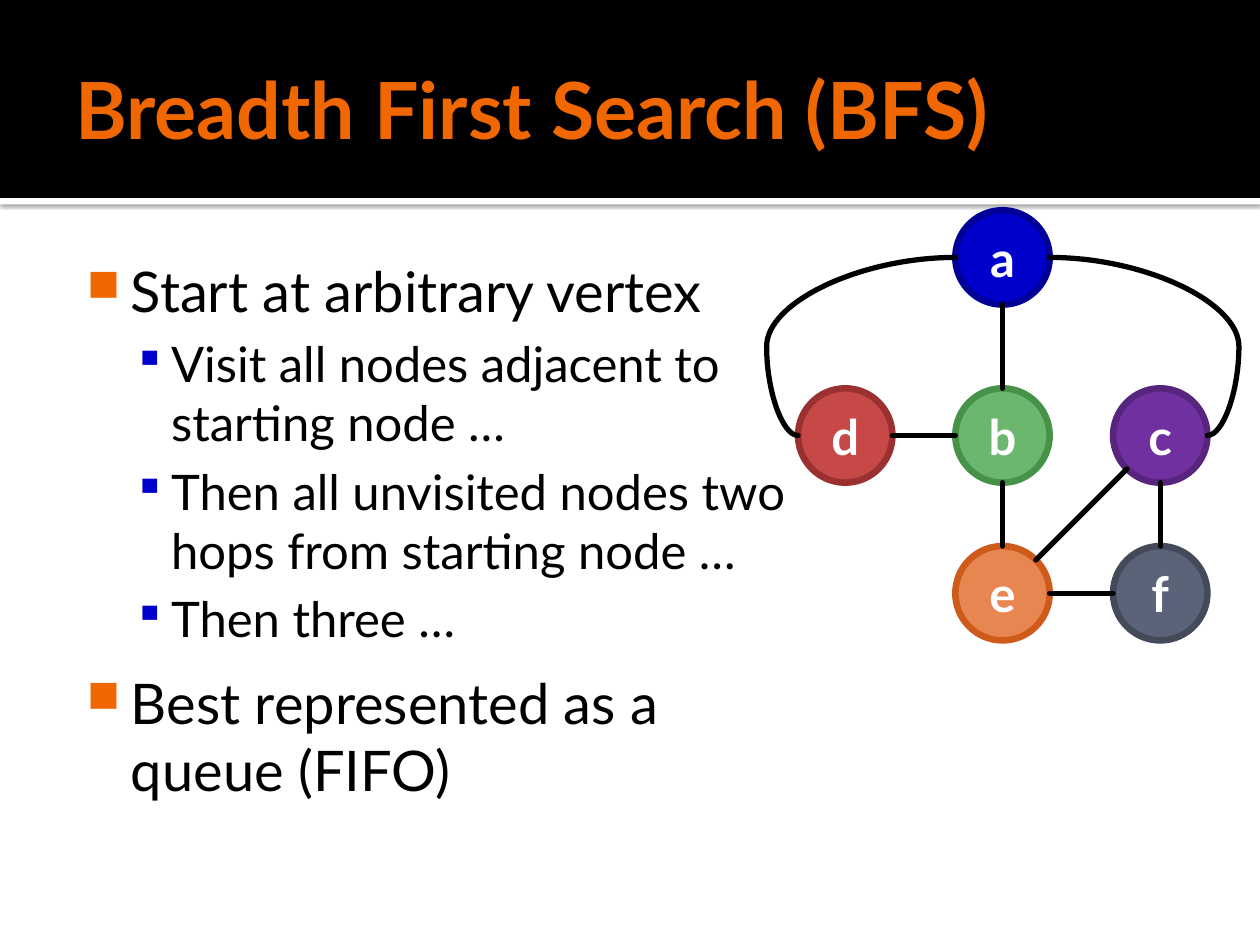
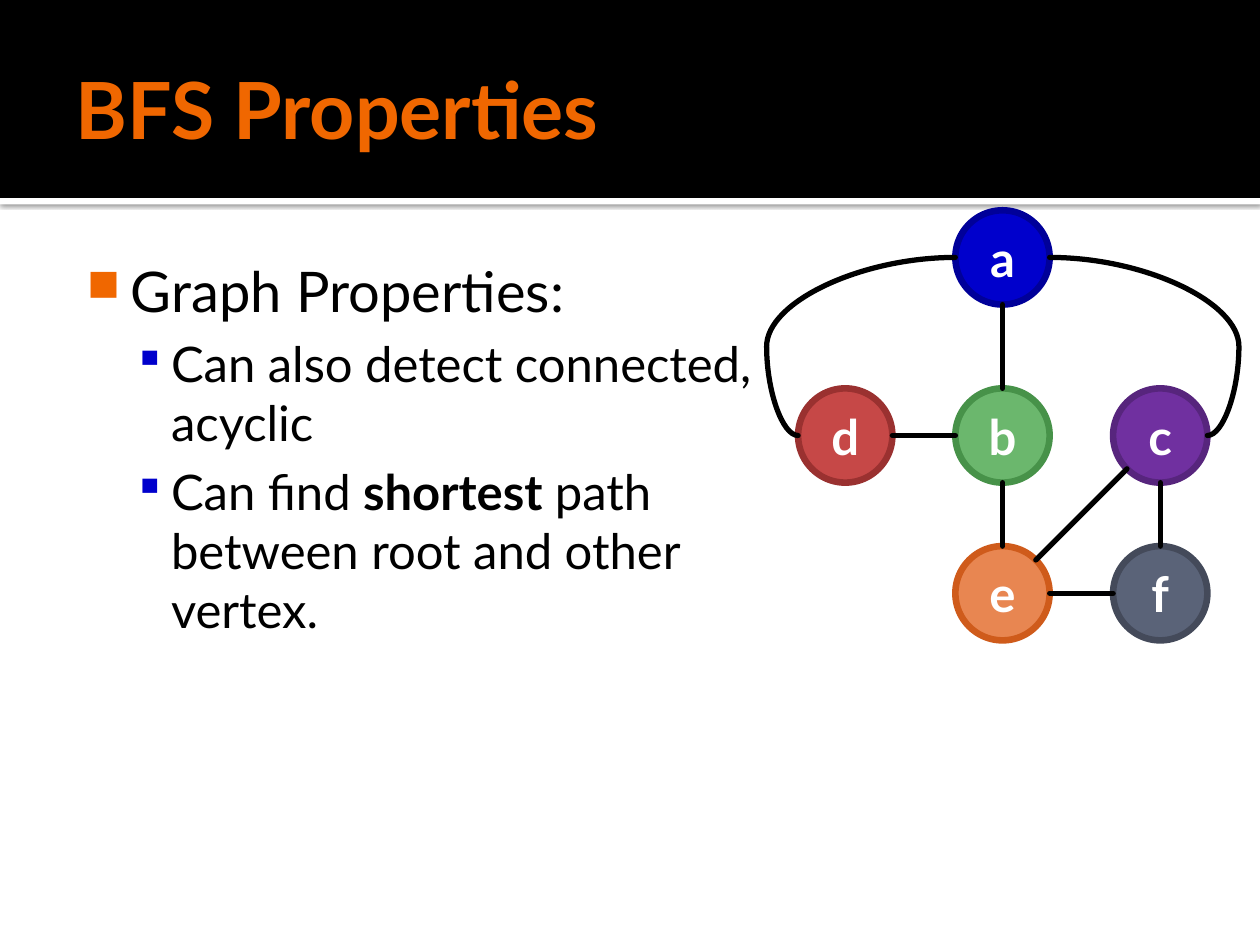
"""Build two slides on breadth first search, each with the same example graph."""
from math import hypot

from lxml.etree import SubElement
from pptx import Presentation
from pptx.dml.color import RGBColor as Rgb
from pptx.enum.shapes import MSO_CONNECTOR as Link, MSO_SHAPE as Shape
from pptx.enum.text import MSO_ANCHOR as Anchor, PP_ALIGN as Align
from pptx.oxml.ns import qn
from pptx.util import Cm, Pt

COLORS = {"title": "F06700", "bullet": "F06700", "sub_bullet": "0000CC",
          "band": "000000", "stripe": "FFFFFF", "text": "000000",
          "edge": "000000", "label": "FFFFFF"}
FONT = "Lato"
LEVELS = [
    {"size": 32, "margin": 1.22, "indent": -0.89, "before": 0,
     "mark": "■", "color": "bullet", "scale": 80},
    {"size": 28, "margin": 2.03, "indent": -0.76, "before": 5.6,
     "mark": "▪", "color": "sub_bullet", "scale": 90},
]
COLUMNS = [17.04, 20.21, 23.39]
ROWS = [5.19, 8.78, 11.96]
RADIUS = 0.95
NODES = {
    "a": (1, 0, "0000CC", "000099"),
    "b": (1, 1, "6BB76D", "479249"),
    "c": (2, 1, "7030A0", "57257D"),
    "d": (0, 1, "C64847", "9A3130"),
    "e": (1, 2, "E88651", "CF5B1B"),
    "f": (2, 2, "5A6378", "444A5A"),
}
STRAIGHT_EDGES = ["ab", "db", "eb", "fe", "cf", "ce"]
CURVED_EDGES = [("a", "c", 1), ("a", "d", -1)]
SLIDES = [
    ("Breadth First Search (BFS)", 14.81, [
        (0, ["Start at arbitrary vertex"], 0),
        (1, ["Visit all nodes adjacent to starting node …"], 0),
        (1, ["Then all unvisited nodes two hops from starting node …"], 0),
        (1, ["Then three …"], 12),
        (0, ["Best represented as a queue (FIFO)"], 0),
    ]),
    ("BFS Properties", 14.4, [
        (0, ["Graph Properties:"], 0),
        (1, ["Can also detect connected, acyclic"], 0),
        (1, ["Can find ", "shortest", " path between root and other vertex."], 0),
    ]),
]


def style_font(font, size, color, bold=False):
    font.name, font.size, font.bold = FONT, Pt(size), bold
    font.color.rgb = Rgb.from_string(COLORS[color])


def add_edge(page, kind, start, end):
    edge = page.shapes.add_connector(kind, *(Cm(value) for value in (*start, *end)))
    edge.line.color.rgb = Rgb.from_string(COLORS["edge"])
    edge.line.width = Pt(3)
    properties = edge.element.spPr
    properties.find(qn("a:ln")).set("cap", "rnd")
    SubElement(properties, qn("a:effectLst"))
    return properties


deck = Presentation()
deck.slide_width, deck.slide_height = Cm(25.4), Cm(19.05)
centers = {name: (COLUMNS[column], ROWS[row])
           for name, (column, row, _, _) in NODES.items()}

for title, body_width, points in SLIDES:
    page = deck.slides.add_slide(deck.slide_layouts[6])

    for part, top, height in [("stripe", 3.99, 0.13), ("band", 0, 3.99)]:
        bar = page.shapes.add_shape(Shape.RECTANGLE, 0, Cm(top), deck.slide_width, Cm(height))
        bar.fill.solid()
        bar.fill.fore_color.rgb = Rgb.from_string(COLORS[part])
        bar.line.fill.background()
        bar.shadow.inherit = False
        if part == "stripe":
            effects = bar.element.spPr.find(qn("a:effectLst"))
            shadow = SubElement(effects, qn("a:outerShdw"), blurRad=str(Pt(2.5)),
                                dist=str(Pt(0.8)), dir="5400000", rotWithShape="0")
            tint = SubElement(shadow, qn("a:srgbClr"), val="000000")
            SubElement(tint, qn("a:alpha"), val="60000")

    heading = page.shapes.add_textbox(Cm(1.27), Cm(0.43), Cm(22.86), Cm(3.48)).text_frame
    heading.word_wrap = True
    heading.vertical_anchor = Anchor.MIDDLE
    heading.margin_right = Cm(0.13)
    heading.text = title
    style_font(heading.paragraphs[0].font, 45, "title", True)

    body = page.shapes.add_textbox(Cm(1.27), Cm(4.93), Cm(body_width), Cm(12.85)).text_frame
    body.word_wrap = True
    body.margin_left, body.margin_top = Cm(0.15), Cm(0.25)
    for index, (depth, spans, after) in enumerate(points):
        level = LEVELS[depth]
        para = body.add_paragraph() if index else body.paragraphs[0]
        para.level = depth
        para.space_before, para.space_after = Pt(level["before"]), Pt(after)
        properties = para._p.get_or_add_pPr()
        properties.set("marL", str(Cm(level["margin"])))
        properties.set("indent", str(Cm(level["indent"])))
        bullet_color = SubElement(properties, qn("a:buClr"))
        SubElement(bullet_color, qn("a:srgbClr"), val=COLORS[level["color"]])
        SubElement(properties, qn("a:buSzPct"), val=str(level["scale"] * 1000))
        SubElement(properties, qn("a:buChar"), char=level["mark"])
        style_font(para.font, level["size"], "text")
        for text in spans:
            span = para.add_run()
            span.text = text
            if text == "shortest":
                span.font.bold = True

    for name, (_, _, fill, outline) in NODES.items():
        x, y = centers[name]
        node = page.shapes.add_shape(Shape.OVAL, Cm(x - RADIUS), Cm(y - RADIUS),
                                     Cm(2 * RADIUS), Cm(2 * RADIUS))
        node.fill.solid()
        node.fill.fore_color.rgb = Rgb.from_string(fill)
        node.line.color.rgb = Rgb.from_string(outline)
        node.line.width = Pt(3.78)
        node.shadow.inherit = False
        node.text_frame.text = name
        node.text_frame.vertical_anchor = Anchor.MIDDLE
        label = node.text_frame.paragraphs[0]
        label.alignment = Align.CENTER
        style_font(label.font, 28, "label", True)

    for first, second in STRAIGHT_EDGES:
        (x1, y1), (x2, y2) = centers[first], centers[second]
        length = hypot(x2 - x1, y2 - y1)
        dx, dy = (x2 - x1) * RADIUS / length, (y2 - y1) * RADIUS / length
        add_edge(page, Link.STRAIGHT, (x1 + dx, y1 + dy), (x2 - dx, y2 - dy))

    for first, second, side in CURVED_EDGES:
        (x1, y1), (x2, y2) = centers[first], centers[second]
        offset = side * RADIUS
        properties = add_edge(page, Link.CURVE, (x1 + offset, y1), (x2 + offset, y2))
        guides = properties.find(qn("a:prstGeom")).find(qn("a:avLst"))
        SubElement(guides, qn("a:gd"), name="adj1", fmla="val 120000")

deck.save("out.pptx")
